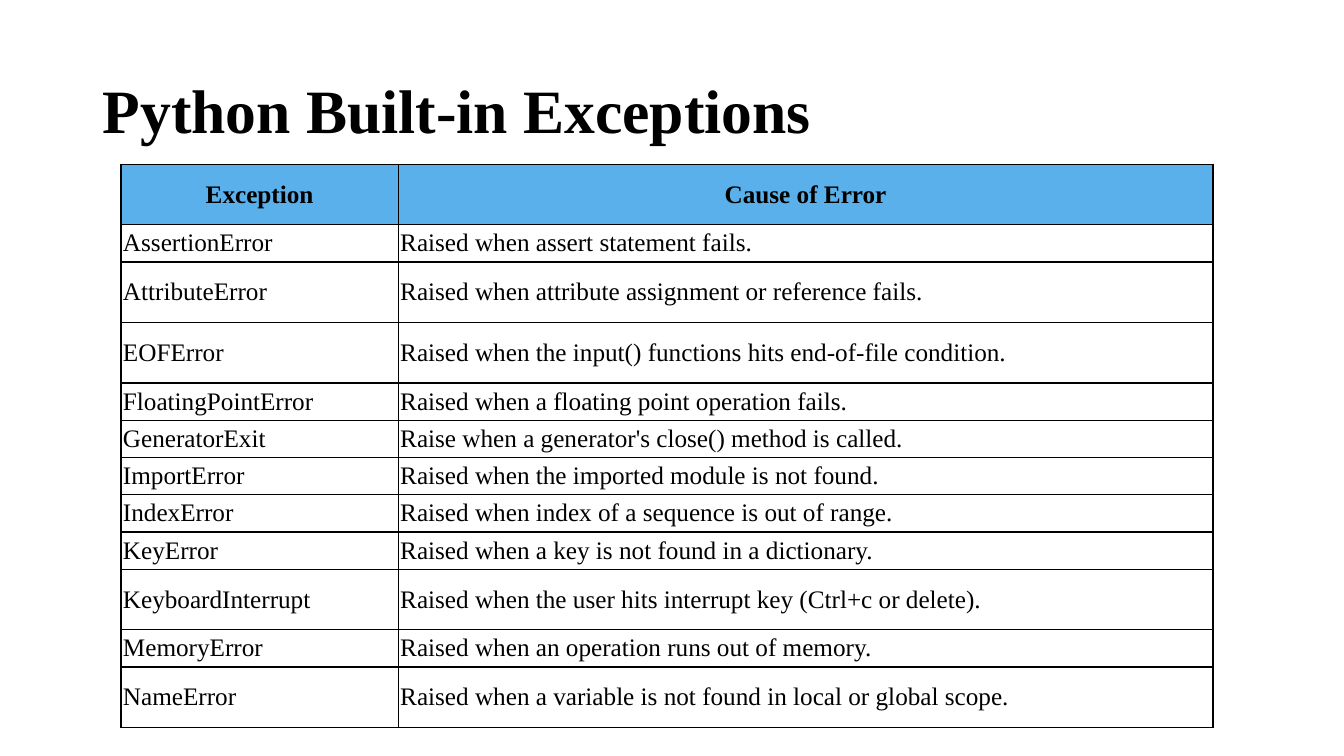
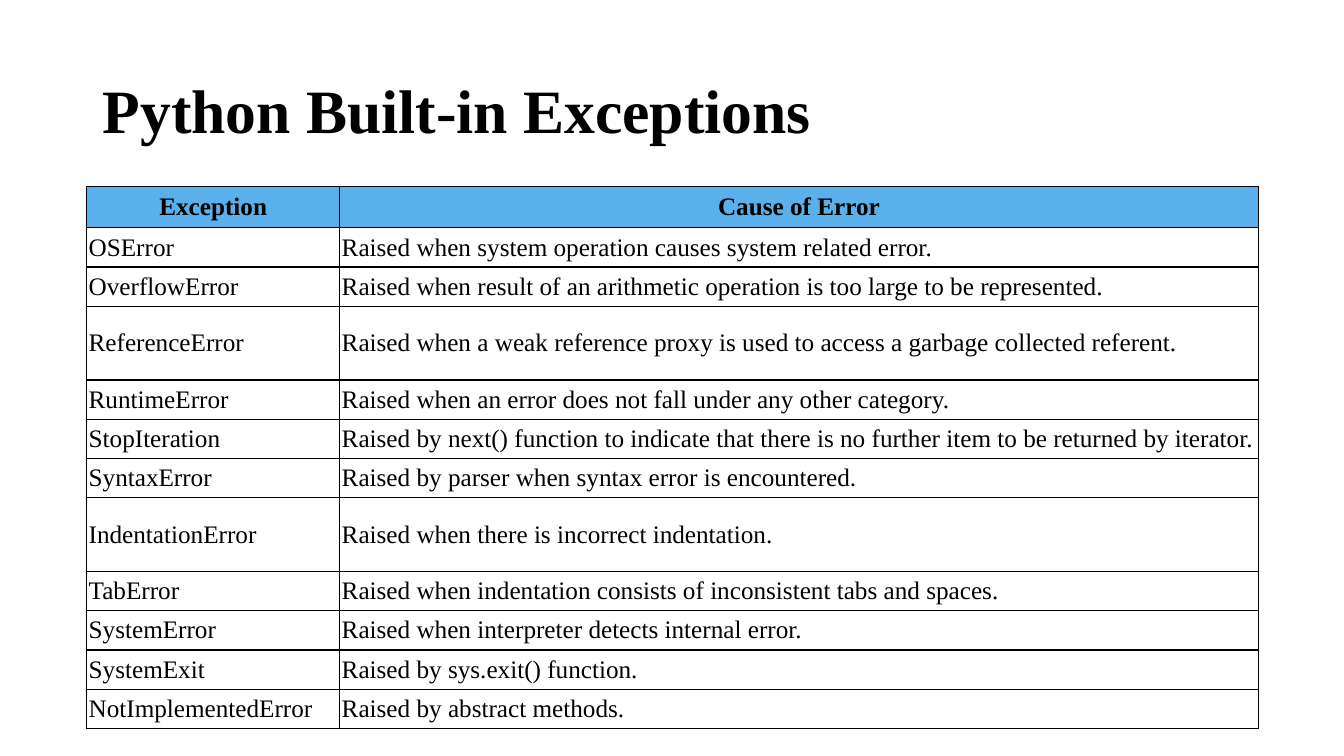
from lxml import etree
from pptx import Presentation
from pptx.dml.color import RGBColor
from pptx.enum import text as t
from pptx.oxml import ns
from pptx.util import Inches, Pt

BLACK = RGBColor(0x00, 0x00, 0x00)
HEADER_BLUE = RGBColor(0x5A, 0xB0, 0xEA)
FONT = "Times New Roman"
TITLE = "Python Built-in Exceptions"
HEADINGS = ("Exception", "Cause of Error")
TITLE_FONT = {"name": FONT, "size": Pt(44), "bold": True}
HEADER_FONT = {"name": FONT, "size": Pt(18), "bold": True}
BODY_FONT = {"name": FONT, "size": Pt(18), "bold": False}

TABLES = [
    {
        "corner": (1.2, 1.63),
        "columns": (2.75, 8.08),
        "heights": {"header": 0.6, "short": 0.37, "tall": 0.6},
        "tall": {"AttributeError", "EOFError", "KeyboardInterrupt", "NameError"},
        "rows": [
            ("AssertionError", "Raised when assert statement fails."),
            ("AttributeError", "Raised when attribute assignment or reference fails."),
            ("EOFError", "Raised when the input() functions hits end-of-file condition."),
            ("FloatingPointError", "Raised when a floating point operation fails."),
            ("GeneratorExit", "Raise when a generator's close() method is called."),
            ("ImportError", "Raised when the imported module is not found."),
            ("IndexError", "Raised when index of a sequence is out of range."),
            ("KeyError", "Raised when a key is not found in a dictionary."),
            ("KeyboardInterrupt", "Raised when the user hits interrupt key (Ctrl+c or delete)."),
            ("MemoryError", "Raised when an operation runs out of memory."),
            ("NameError", "Raised when a variable is not found in local or global scope."),
        ],
    },
    {
        "corner": (0.86, 1.85),
        "columns": (2.51, 9.11),
        "heights": {"header": 0.41, "short": 0.39, "tall": 0.73},
        "tall": {"ReferenceError", "IndentationError"},
        "rows": [
            ("OSError", "Raised when system operation causes system related error."),
            ("OverflowError", "Raised when result of an arithmetic operation is too large to be represented."),
            ("ReferenceError", "Raised when a weak reference proxy is used to access a garbage collected referent."),
            ("RuntimeError", "Raised when an error does not fall under any other category."),
            ("StopIteration", "Raised by next() function to indicate that there is no further item to be returned by iterator."),
            ("SyntaxError", "Raised by parser when syntax error is encountered."),
            ("IndentationError", "Raised when there is incorrect indentation."),
            ("TabError", "Raised when indentation consists of inconsistent tabs and spaces."),
            ("SystemError", "Raised when interpreter detects internal error."),
            ("SystemExit", "Raised by sys.exit() function."),
            ("NotImplementedError", "Raised by abstract methods."),
        ],
    },
]


def set_all(target, values):
    for name, value in values.items():
        setattr(target, name, value)


def write(para, words, font, align=t.PP_ALIGN.LEFT):
    para.alignment = align
    span = para.add_run()
    span.text = words
    set_all(span.font, font)
    span.font.color.rgb = BLACK


def add_title(page):
    box = page.shapes.add_textbox(Inches(0.92), Inches(0.4), Inches(11.5), Inches(1.45))
    frame = box.text_frame
    set_all(frame, {"word_wrap": True, "vertical_anchor": t.MSO_ANCHOR.MIDDLE})
    para = frame.paragraphs[0]
    para.line_spacing = 0.9
    write(para, TITLE, TITLE_FONT)


def add_borders(cell):
    properties = cell._tc.get_or_add_tcPr()
    for side in "LRTB":
        line = etree.SubElement(properties, ns.qn(f"a:ln{side}"), w=str(Pt(1)))
        fill = etree.SubElement(line, ns.qn("a:solidFill"))
        etree.SubElement(fill, ns.qn("a:srgbClr"), val=str(BLACK))


def fill_cell(cell, words, is_header):
    inset = Inches(0.03 if is_header else 0.02)
    set_all(cell, {
        "margin_left": Inches(0.02), "margin_right": Inches(0.02),
        "margin_top": inset, "margin_bottom": inset,
        "vertical_anchor": t.MSO_ANCHOR.MIDDLE,
    })
    add_borders(cell)
    para = cell.text_frame.paragraphs[0]
    if is_header:
        cell.fill.solid()
        cell.fill.fore_color.rgb = HEADER_BLUE
        write(para, words, HEADER_FONT, t.PP_ALIGN.CENTER)
    else:
        cell.fill.background()
        write(para, words, BODY_FONT)


def add_exception_table(page, content):
    rows = [HEADINGS, *content["rows"]]
    sizes = content["heights"]
    heights = [sizes["header"]] + [
        sizes["tall" if name in content["tall"] else "short"]
        for name, cause in content["rows"]
    ]
    left, top = content["corner"]
    table = page.shapes.add_table(
        len(rows), len(HEADINGS), Inches(left), Inches(top),
        Inches(sum(content["columns"])), Inches(sum(heights)),
    ).table
    set_all(table, {"first_row": False, "horz_banding": False})
    for column, width in zip(table.columns, content["columns"]):
        column.width = Inches(width)
    for index, (row, height, words) in enumerate(zip(table.rows, heights, rows)):
        row.height = Inches(height)
        for cell, entry in zip(row.cells, words):
            fill_cell(cell, entry, index == 0)


def main():
    deck = Presentation()
    set_all(deck, {"slide_width": Inches(13.33), "slide_height": Inches(7.5)})
    for content in TABLES:
        page = deck.slides.add_slide(deck.slide_layouts[6])
        add_title(page)
        add_exception_table(page, content)
    deck.save("out.pptx")


if __name__ == "__main__":
    main()
